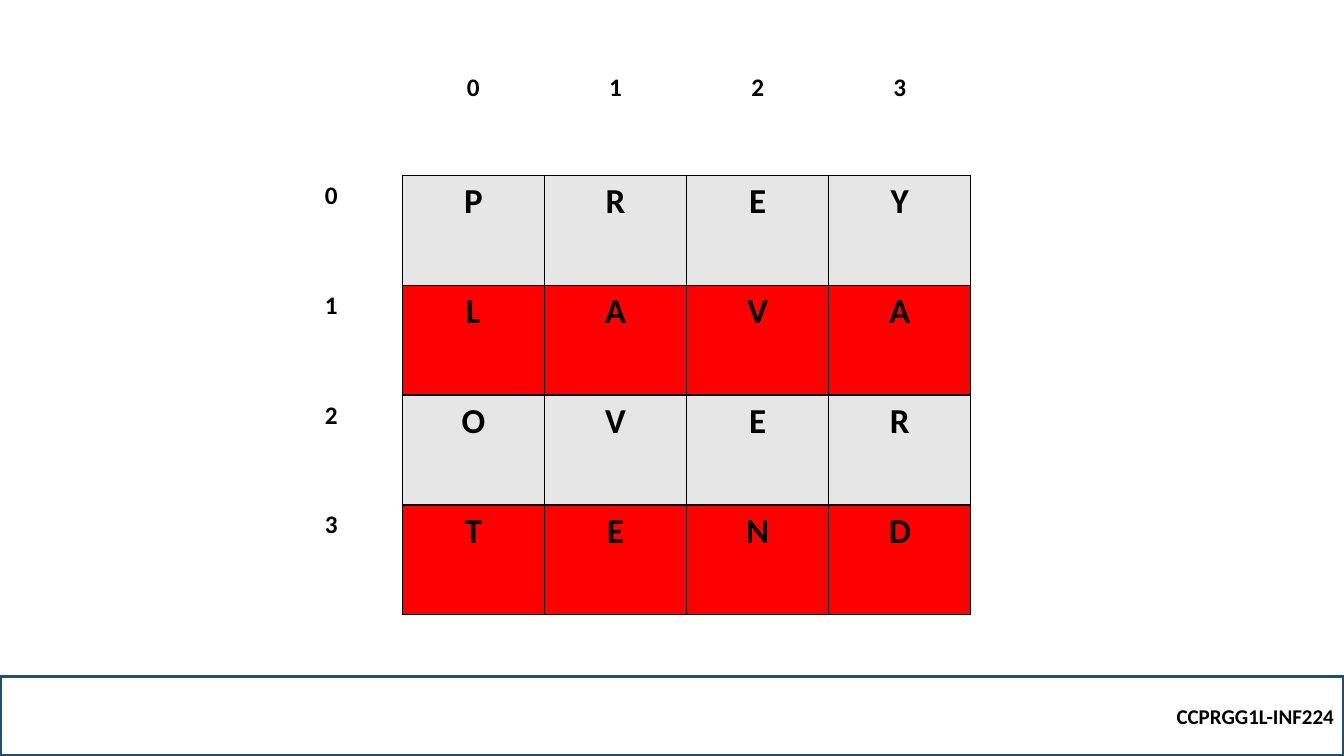
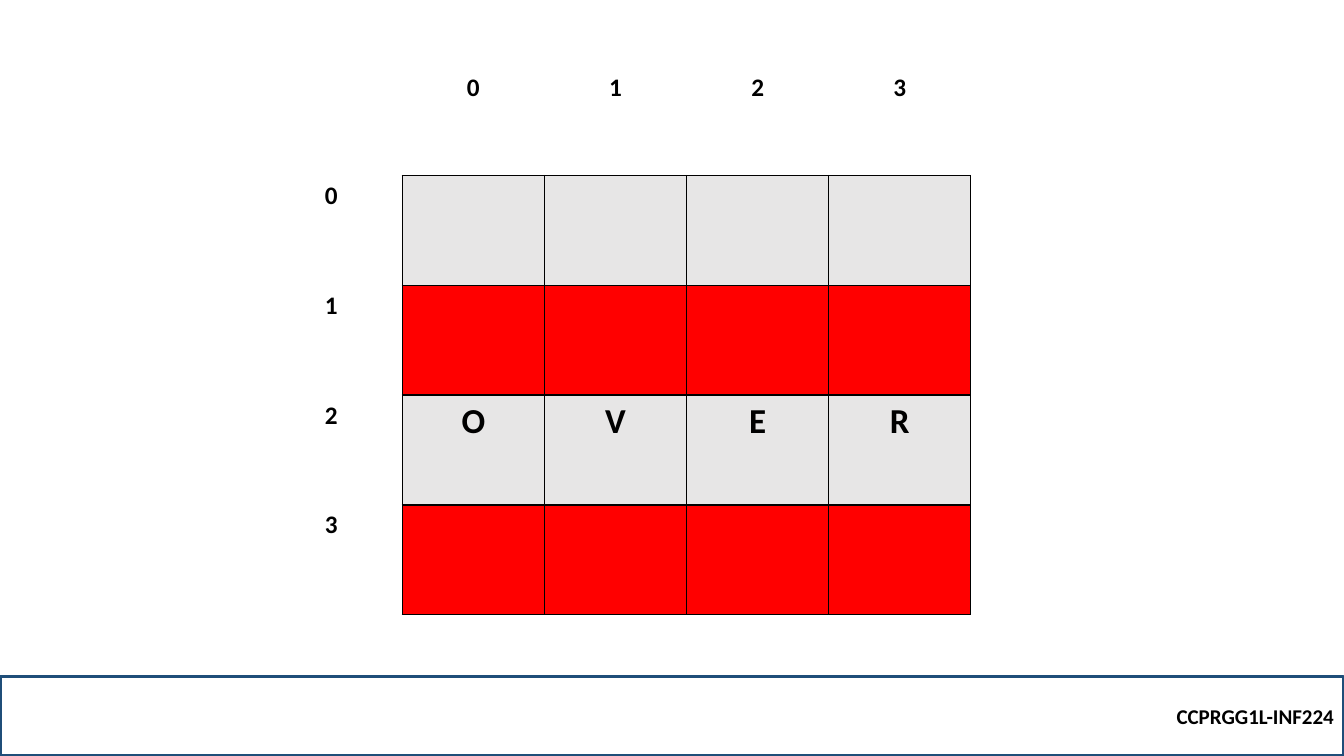
from lxml.etree import SubElement
from pptx import Presentation
from pptx.dml.color import RGBColor
from pptx.enum.shapes import MSO_SHAPE as Shape
from pptx.enum.text import MSO_ANCHOR as Anchor, PP_ALIGN as Align
from pptx.oxml.ns import qn
from pptx.util import Inches, Pt

COLORS = {
    "text": "000000",
    "border": "000000",
    "footer_line": "1F4E79",
    "even_row": "E7E6E6",
    "odd_row": "FF0000",
}
FONT = "Calibri"
FOOTER_TEXT = "CCPRGG1L-INF224"
GRID_SIZE = 4
COLUMN_WIDTH = 1.41
HEADER_HEIGHT, ROW_HEIGHT = 1.07, 1.09
SIDES = "LRTB"

# One word per grid row; an empty word leaves its row blank
GRIDS = [
    ["PREY", "LAVA", "OVER", "TEND"],
    ["", "", "OVER", ""],
]


def color(name):
    return RGBColor.from_string(COLORS[name])


def add_span(frame, text, size, align):
    para = frame.paragraphs[0]
    para.alignment = align
    span = para.add_run()
    span.text = text
    span.font.name = FONT
    span.font.size = Pt(size)
    span.font.bold = True
    span.font.color.rgb = color("text")


def set_borders(cell, visible):
    """Draw the sides named in visible and clear the others."""
    properties = cell._tc.get_or_add_tcPr()
    for index, side in enumerate(SIDES):
        line = SubElement(properties, qn(f"a:ln{side}"), w=str(Pt(1)))
        if side in visible:
            fill = SubElement(line, qn("a:solidFill"))
            SubElement(fill, qn("a:srgbClr"), val=COLORS["border"])
        else:
            SubElement(line, qn("a:noFill"))
        # Borders must come before the cell fill
        properties.insert(index, line)


def add_footer(page):
    box = page.shapes.add_shape(
        Shape.RECTANGLE, 0, Inches(6.71), Inches(13.33), Inches(0.79))
    box.shadow.inherit = False
    box.fill.background()
    box.line.color.rgb = color("footer_line")
    box.line.width = Pt(2.25)
    frame = box.text_frame
    frame.word_wrap = True
    frame.vertical_anchor = Anchor.MIDDLE
    add_span(frame, FOOTER_TEXT, 15, Align.RIGHT)


def fill_cell(cell, text, size, fill, borders):
    if fill:
        cell.fill.solid()
        cell.fill.fore_color.rgb = color(fill)
    else:
        cell.fill.background()
    set_borders(cell, borders)
    if text:
        add_span(cell.text_frame, text, size, Align.CENTER)


def add_letter_grid(page, words):
    count = GRID_SIZE + 1
    table = page.shapes.add_table(
        count, count, Inches(2.58), Inches(0.67),
        Inches(COLUMN_WIDTH * count),
        Inches(HEADER_HEIGHT + ROW_HEIGHT * GRID_SIZE)).table
    table.first_row = False
    table.horz_banding = False
    for column in table.columns:
        column.width = Inches(COLUMN_WIDTH)
    for index, row in enumerate(table.rows):
        row.height = Inches(ROW_HEIGHT if index else HEADER_HEIGHT)

    # Index labels along the top and the left
    fill_cell(table.cell(0, 0), "", 18, None, "")
    for index in range(GRID_SIZE):
        fill_cell(table.cell(0, index + 1), str(index), 18, None, "B")
        fill_cell(table.cell(index + 1, 0), str(index), 18, None, "R")

    # Letters on alternating row colours
    for row, word in enumerate(words):
        fill = "odd_row" if row % 2 else "even_row"
        for column, letter in enumerate(word or [""] * GRID_SIZE):
            fill_cell(table.cell(row + 1, column + 1), letter, 25, fill, SIDES)


def main():
    deck = Presentation()
    deck.slide_width = Inches(13.33)
    deck.slide_height = Inches(7.5)
    blank_layout = deck.slide_layouts[6]
    for words in GRIDS:
        page = deck.slides.add_slide(blank_layout)
        add_footer(page)
        add_letter_grid(page, words)
    deck.save("out.pptx")


main()
